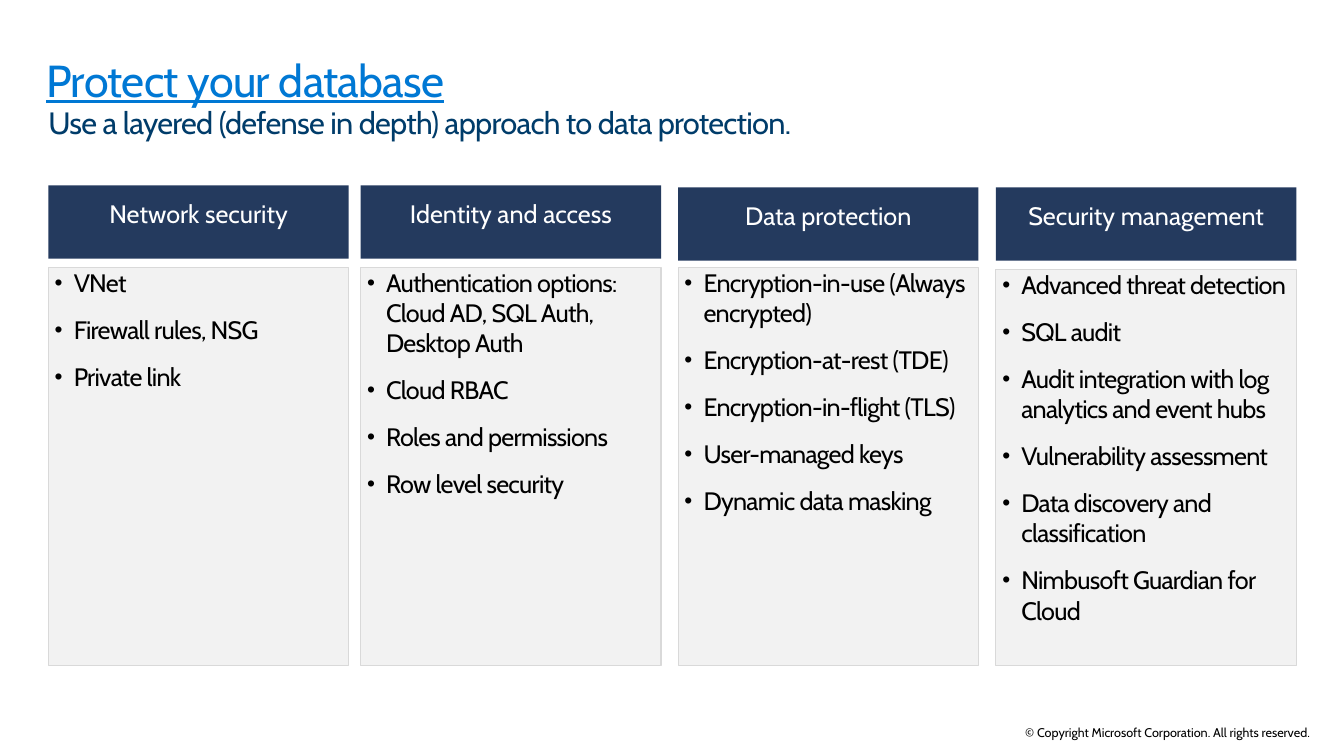
from lxml.etree import SubElement
from pptx import Presentation
from pptx.dml.color import RGBColor
from pptx.enum.shapes import MSO_SHAPE
from pptx.enum.text import MSO_ANCHOR, PP_ALIGN
from pptx.oxml.ns import qn
from pptx.util import Cm, Pt

COLORS = {
    "title": "0078D4",
    "subtitle": "003C6A",
    "header": "243A5E",
    "panel": "F2F2F2",
    "border": "D9D9D9",
    "white": "FFFFFF",
    "black": "000000",
}
COLUMN_WIDTH, HEADER_HEIGHT, PANEL_BOTTOM = 7.57, 1.85, 16.76
COLUMNS = [
    (1.22, 4.67, 6.73, "Network security",
     ["VNet", "Firewall rules, NSG", "Private link"]),
    (9.09, 4.67, 6.73, "Identity and access",
     ["Authentication options: Cloud AD, SQL Auth, Desktop Auth",
      "Cloud RBAC", "Roles and permissions", "Row level security"]),
    (17.09, 4.72, 6.73, "Data protection",
     ["Encryption-in-use (Always encrypted)", "Encryption-at-rest (TDE)",
      "Encryption-in-flight (TLS)", "User-managed keys",
      "Dynamic data masking"]),
    (25.1, 4.72, 6.78, "Security management",
     ["Advanced threat detection", "SQL audit",
      "Audit integration with log analytics and event hubs",
      "Vulnerability assessment", "Data discovery and classification",
      "Nimbusoft Guardian for Cloud"]),
]


def write(shape, lines, size, color, insets=(0, 0, 0, 0), align=PP_ALIGN.LEFT,
          line_spacing=None, tight=False, bullets=False):
    frame = shape.text_frame
    frame.word_wrap = True
    frame.vertical_anchor = MSO_ANCHOR.TOP
    (frame.margin_left, frame.margin_top,
     frame.margin_right, frame.margin_bottom) = map(Cm, insets)
    for index, line in enumerate(lines):
        paragraph = frame.add_paragraph() if index else frame.paragraphs[0]
        paragraph.alignment = align
        paragraph.line_spacing = line_spacing
        if bullets:
            paragraph.space_after = Pt(12)
            properties = paragraph._p.get_or_add_pPr()
            properties.set("marL", str(Cm(0.64)))
            properties.set("indent", str(Cm(-0.48)))
            SubElement(properties, qn("a:buSzPct"), val="90000")
            SubElement(properties, qn("a:buFont"), typeface="Arial")
            SubElement(properties, qn("a:buChar"), char="•")
        run = paragraph.add_run()
        run.text = line
        if tight:
            run._r.get_or_add_rPr().set("spc", "-50")
        paragraph.font.name = "Cabin"
        paragraph.font.size = Pt(size)
        paragraph.font.color.rgb = RGBColor.from_string(COLORS[color])


def add_block(left, top, height, fill, border=None):
    block = slide.shapes.add_shape(
        MSO_SHAPE.RECTANGLE, Cm(left), Cm(top), Cm(COLUMN_WIDTH), Cm(height))
    block.shadow.inherit = False
    block.fill.solid()
    block.fill.fore_color.rgb = RGBColor.from_string(COLORS[fill])
    if border:
        block.line.color.rgb = RGBColor.from_string(COLORS[border])
        block.line.width = Pt(0.75)
    else:
        block.line.fill.background()
    return block


deck = Presentation()
deck.slide_width, deck.slide_height = Cm(33.87), Cm(19.05)
slide = deck.slides.add_slide(deck.slide_layouts[6])

copyright_line = slide.shapes.add_textbox(Cm(24.97), Cm(18.26), Cm(8.9), Cm(0.38))
write(copyright_line, ["© Copyright Microsoft Corporation. All rights reserved."],
      9, "black", align=PP_ALIGN.CENTER)
copyright_line.text_frame.vertical_anchor = MSO_ANCHOR.MIDDLE

title = slide.shapes.add_textbox(Cm(1.17), Cm(1.22), Cm(31.5), Cm(1.78))
write(title, ["Protect your database"], 32, "title",
      insets=(0, 0.25, 0.41, 0.25), line_spacing=0.9, tight=True)
title.text_frame.paragraphs[0].font.underline = True

subtitle = slide.shapes.add_textbox(Cm(1.22), Cm(2.49), Cm(31.5), Cm(1.19))
write(subtitle, ["Use a layered (defense in depth) approach to data protection."],
      22, "subtitle", insets=(0, 0.13, 0, 0.13), tight=True)

for left, header_top, panel_top, heading, measures in COLUMNS:
    panel = add_block(left, panel_top, PANEL_BOTTOM - panel_top, "panel", "border")
    write(panel, measures, 18, "black", tight=True, bullets=True)
    header = add_block(left, header_top, HEADER_HEIGHT, "header")
    write(header, [heading], 18, "white", insets=(0.51, 0.41, 0.51, 0.41),
          align=PP_ALIGN.CENTER, line_spacing=0.9)

deck.save("out.pptx")
